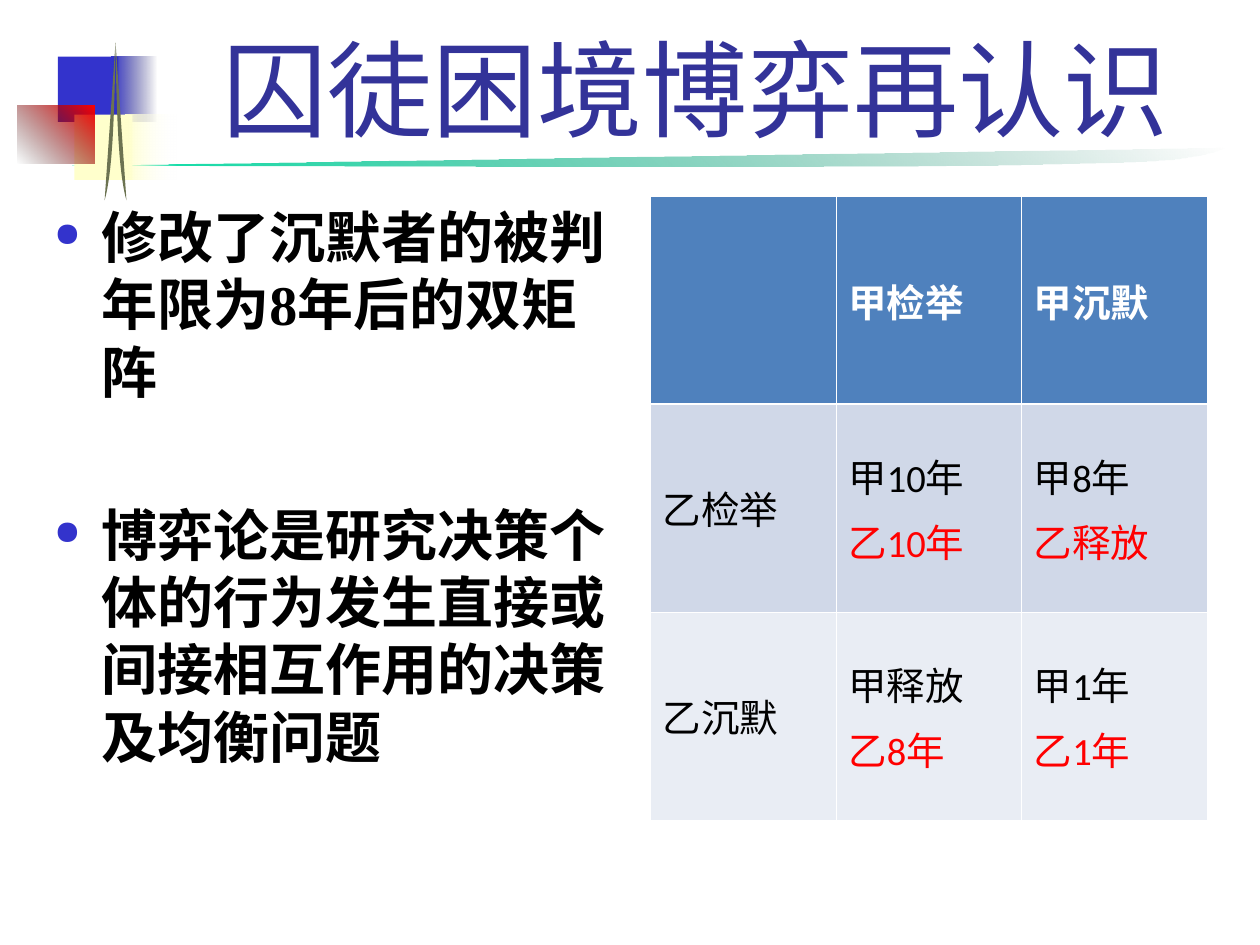
from dataclasses import dataclass

from pptx import Presentation
from pptx.dml.color import RGBColor
from pptx.enum.lang import MSO_LANGUAGE_ID as Language
from pptx.enum.shapes import MSO_SHAPE as Shape
from pptx.enum.text import MSO_ANCHOR as Anchor, PP_ALIGN as Align
from pptx.oxml import parse_xml
from pptx.oxml.ns import nsdecls, qn
from pptx.util import Cm, Pt


@dataclass(frozen=True)
class Theme:
    serif: str = "Times New Roman"
    sans: str = "Calibri"
    title_size: int = 60
    body_size: int = 32
    table_size: int = 22
    title: str = "333399"
    text: str = "000000"
    accent: str = "FF0000"
    blue: str = "3333CC"
    navy: str = "18185E"
    yellow: str = "FFFFCC"
    maroon: str = "100000"
    white: str = "FFFFFF"
    mint: str = "00E4A8"
    green: str = "006A4E"
    olive: str = "6C7351"
    header: str = "4F81BD"
    bands: tuple = ("D0D8E8", "E9EDF4")
    thin: float = 0.45
    thick: float = 1.47


THEME = Theme()


def apply(target, values):
    for name, value in values.items():
        setattr(target, name, value)


def write(para, text, font, size, color, bold=False):
    span = para.add_run()
    span.text = text
    apply(span.font, {"name": font, "size": Pt(size), "bold": bold,
                      "language_id": Language.SIMPLIFIED_CHINESE})
    span.font.color.rgb = RGBColor.from_string(color)


def paint(shape, color):
    shape.shadow.inherit = False
    shape.line.fill.background()
    shape.fill.solid()
    shape.fill.fore_color.rgb = RGBColor.from_string(color)


def fade(shape, start, end, angle=0):
    paint(shape, start[0])
    stops = "".join(
        f'<a:gs pos="{place}"><a:srgbClr val="{color}">'
        f'<a:alpha val="{alpha * 1000}"/></a:srgbClr></a:gs>'
        for place, (color, alpha) in zip((0, 100000), (start, end)))
    gradient = parse_xml(
        f'<a:gradFill {nsdecls("a")} rotWithShape="1"><a:gsLst>{stops}</a:gsLst>'
        f'<a:lin ang="{angle * 60000}" scaled="0"/></a:gradFill>')
    properties = shape._element.spPr
    properties.replace(properties.find(qn("a:solidFill")), gradient)


def add_block(page, left, top, width, height):
    return page.shapes.add_shape(
        Shape.RECTANGLE, Cm(left), Cm(top), Cm(width), Cm(height))


def bezier(points, steps=24):
    for step in range(1, steps + 1):
        t = step / steps
        weights = ((1 - t) ** 3, 3 * t * (1 - t) ** 2, 3 * t * t * (1 - t), t ** 3)
        yield tuple(Cm(sum(w * point[axis] for w, point in zip(weights, points)))
                    for axis in (0, 1))


def add_curve(page, points):
    builder = page.shapes.build_freeform(Cm(points[0][0]), Cm(points[0][1]))
    for first in range(0, len(points) - 1, 3):
        builder.add_line_segments(bezier(points[first:first + 4]), close=False)
    builder.add_line_segments([], close=True)
    return builder.convert_to_shape()


def add_decoration(page):
    ribbon = add_curve(page, [(1.47, 3.33), (8.86, 3.35), (16.23, 3.4), (20.12, 3.33),
                              (23.98, 3.28), (24.08, 3.2), (24.77, 2.97)])
    fade(ribbon, (THEME.mint, 100), (THEME.green, 0), 315)
    paint(add_block(page, 1.17, 1.14, 1.22, 1.32), THEME.blue)
    fade(add_block(page, 2.24, 1.14, 0.91, 1.32), (THEME.blue, 100), (THEME.navy, 0))
    paint(add_block(page, 1.5, 2.31, 1.17, 1.32), THEME.yellow)
    fade(add_block(page, 2.54, 2.31, 1.02, 1.32), (THEME.yellow, 100), (THEME.white, 0))
    fade(add_block(page, 0.36, 2.13, 1.55, 1.17), (THEME.maroon, 0), (THEME.accent, 100), 315)
    for side in (-1, 1):
        leg = add_curve(page, [(2.33 + side * reach, y) for reach, y in
                               ((0, 0.86), (0.02, 2.16), (0.05, 3.45), (0.22, 4.04))])
        paint(leg, THEME.olive)


def add_text_frame(page, left, top, width, height, anchor):
    box = page.shapes.add_textbox(Cm(left), Cm(top), Cm(width), Cm(height))
    apply(box.text_frame, {"word_wrap": True, "vertical_anchor": anchor})
    return box.text_frame


def add_title(page, text):
    para = add_text_frame(page, 3.2, 0.58, 21.64, 2.57, Anchor.BOTTOM).paragraphs[0]
    para.alignment = Align.CENTER
    write(para, text, THEME.serif, THEME.title_size, THEME.title)


def add_bullet(para):
    properties = para._p.get_or_add_pPr()
    indent = Cm(0.95)
    properties.set("marL", str(indent))
    properties.set("indent", str(-indent))
    for markup in (f'<a:buClr {nsdecls("a")}><a:srgbClr val="{THEME.blue}"/></a:buClr>',
                   f'<a:buSzPct {nsdecls("a")} val="60000"/>',
                   f'<a:buChar {nsdecls("a")} char="●"/>'):
        properties.append(parse_xml(markup))


def add_bullets(page, texts):
    frame = add_text_frame(page, 0.84, 3.96, 11.94, 13.21, Anchor.TOP)
    for index, text in enumerate(texts):
        para = frame.add_paragraph() if index else frame.paragraphs[0]
        add_bullet(para)
        if index:
            para.space_before = Pt(55)
        write(para, text, THEME.serif, THEME.body_size, THEME.text, True)


def add_borders(cell, widths):
    properties = cell._tc.get_or_add_tcPr()
    for index, (side, width) in enumerate(zip("LRTB", widths)):
        properties.insert(index, parse_xml(
            f'<a:ln{side} {nsdecls("a")} w="{Pt(width)}"><a:solidFill>'
            f'<a:srgbClr val="{THEME.white}"/></a:solidFill></a:ln{side}>'))


def fill_cell(cell, text, row):
    cell.vertical_anchor = Anchor.MIDDLE
    cell.fill.solid()
    color = THEME.bands[row - 1] if row else THEME.header
    cell.fill.fore_color.rgb = RGBColor.from_string(color)
    add_borders(cell, (THEME.thin, THEME.thin,
                       THEME.thick if row == 1 else THEME.thin,
                       THEME.thick if row == 0 else THEME.thin))
    inks = (THEME.text, THEME.accent) if row else (THEME.white,)
    lines = text.split("\n") if text else []
    for index, (line, ink) in enumerate(zip(lines, inks)):
        para = cell.text_frame.add_paragraph() if index else cell.text_frame.paragraphs[0]
        if index:
            para.space_before = Pt(5.5)
        write(para, line, THEME.sans, THEME.table_size, ink, row == 0)


def add_payoffs(page, rows):
    column_width, row_height = Cm(3.74), Cm(4.19)
    count = len(rows[0])
    table = page.shapes.add_table(len(rows), count, Cm(13.11), Cm(3.96),
                                  column_width * count, row_height * len(rows)).table
    for column in table.columns:
        column.width = column_width
    for row, texts in enumerate(rows):
        table.rows[row].height = row_height
        for column, text in enumerate(texts):
            fill_cell(table.cell(row, column), text, row)


def main():
    deck = Presentation()
    apply(deck, {"slide_width": Cm(25.4), "slide_height": Cm(19.05)})
    page = deck.slides.add_slide(deck.slide_layouts[6])
    add_decoration(page)
    add_title(page, "囚徒困境博弈再认识")
    add_bullets(page, ["修改了沉默者的被判年限为8年后的双矩阵",
                       "博弈论是研究决策个体的行为发生直接或间接相互作用的决策及均衡问题"])
    add_payoffs(page, [["", "甲检举", "甲沉默"],
                       ["乙检举", "甲10年\n乙10年", "甲8年\n乙释放"],
                       ["乙沉默", "甲释放\n乙8年", "甲1年\n乙1年"]])
    deck.save("out.pptx")


if __name__ == "__main__":
    main()
